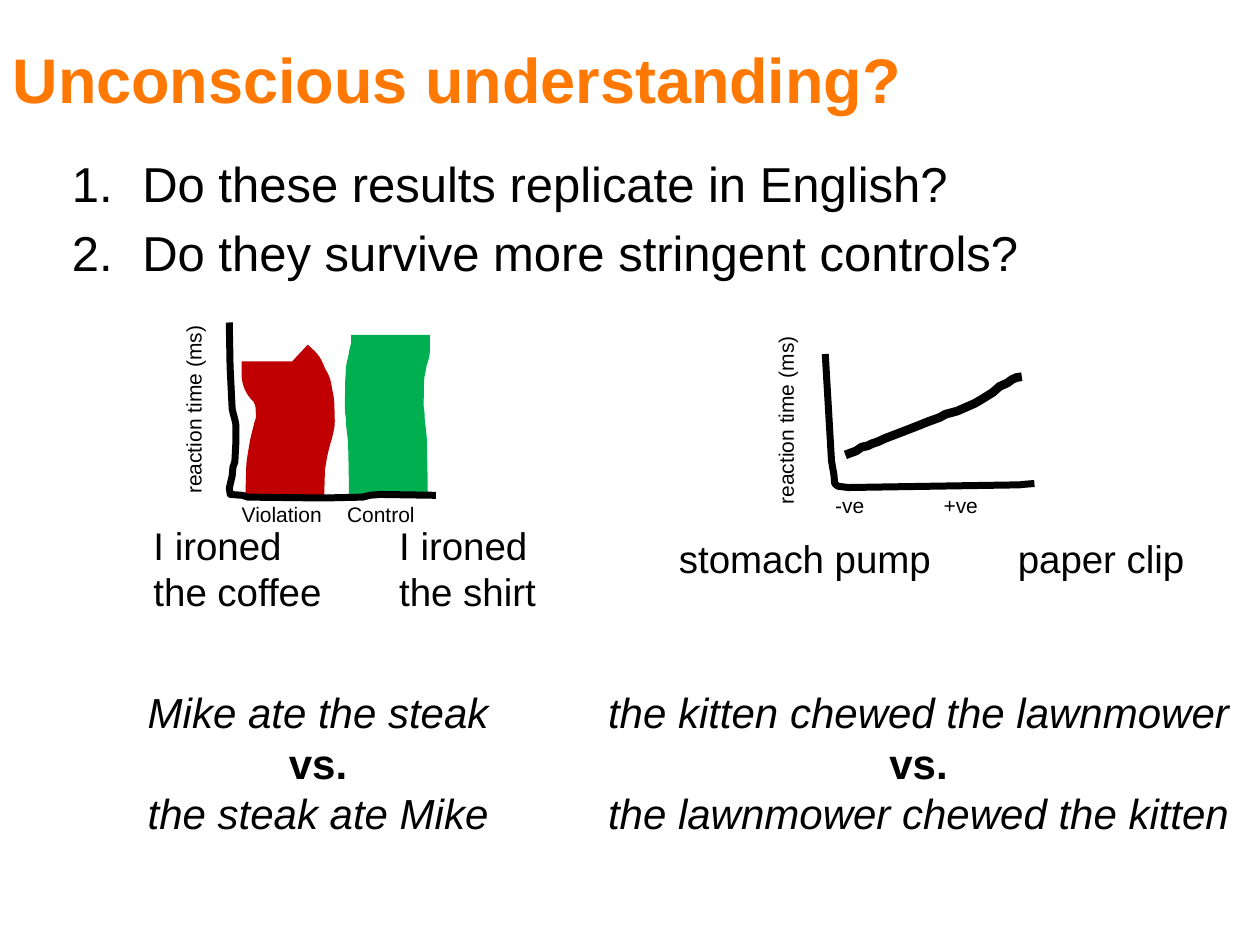
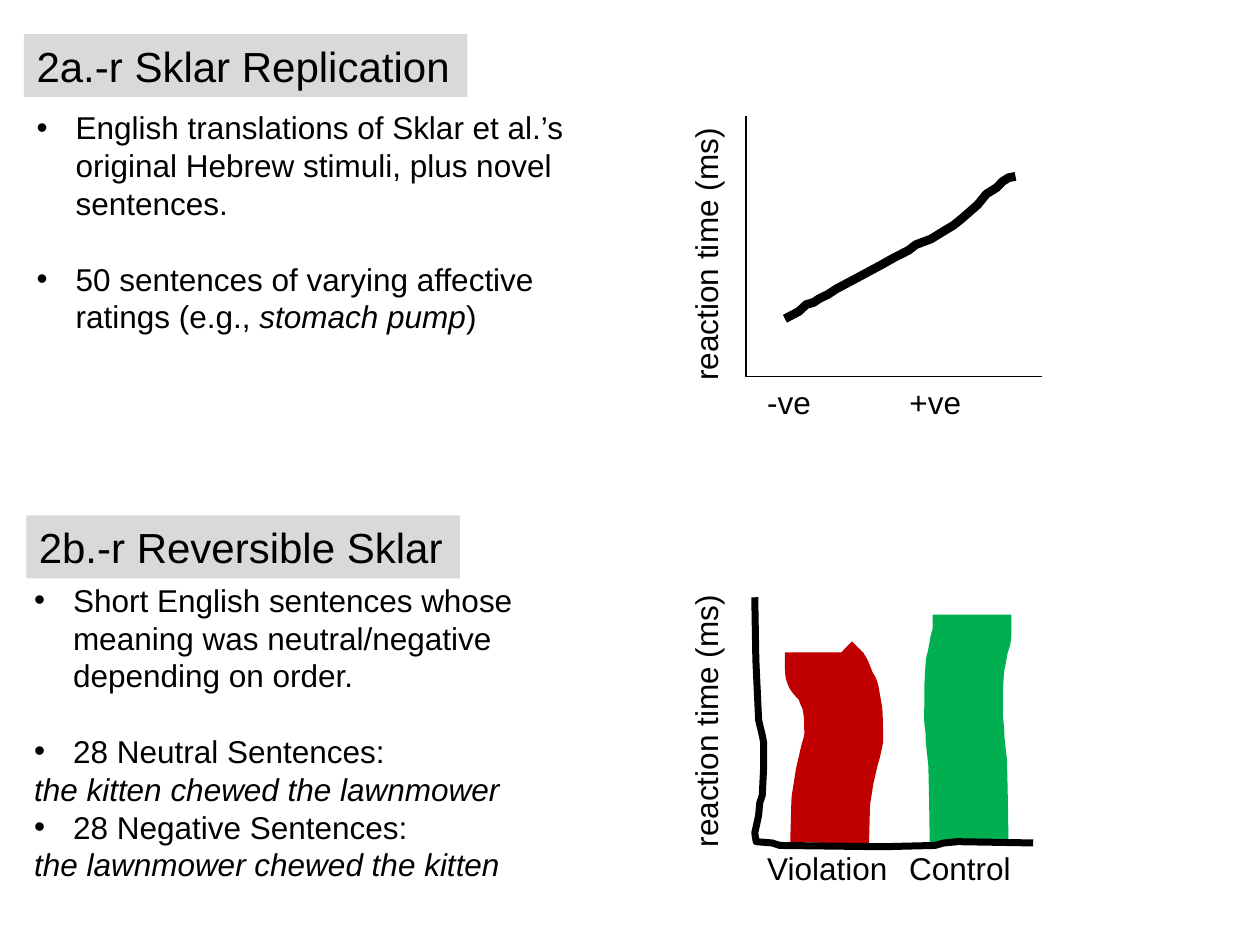
from lxml.etree import SubElement
from pptx import Presentation
from pptx.dml.color import RGBColor
from pptx.enum.shapes import MSO_CONNECTOR, MSO_SHAPE
from pptx.enum.text import MSO_ANCHOR, MSO_AUTO_SIZE, PP_ALIGN
from pptx.oxml.ns import qn
from pptx.util import Inches, Pt

COLORS = {"title": "FF7802", "ink": "000000", "band": "D9D9D9",
          "violation": "C00000", "control": "00B050"}
FONT = "Arial"
COLUMNS, ROWS = 100, 75

# Hand-drawn strokes, in percent of the frame that holds each one
AXES = [(0, 0), (0.4, 25), (1.4, 49), (1.8, 51), (2.7, 55), (3.2, 58), (3.2, 68),
        (2.7, 79), (1.8, 82), (1.4, 87), (0, 94), (0.5, 97.5), (6.3, 98), (9, 99),
        (45.7, 99.5), (64.7, 99), (67.9, 98), (72.9, 97.5), (100, 98)]
VIOLATION_BAR = [(27, 100), (33, 78), (53, 65), (80, 53), (87, 51), (100, 45),
                 (97, 32), (80, 22), (67, 20), (40, 13), (0, 9), (0, 0)]
CONTROL_BAR = [(67, 100), (60, 82), (50, 65), (17, 54), (17, 51), (0, 46),
               (3, 31), (17, 22), (33, 20), (67, 13), (100, 9), (100, 0)]
TREND = [(0, 100), (6, 95), (9.3, 90), (12.6, 88.5), (14.8, 86), (18.6, 83),
         (22.4, 79), (31.7, 71), (42, 62), (47.5, 57), (53.6, 52), (56.8, 48),
         (63.4, 44), (69.4, 38), (73, 34.5), (76.5, 30), (83.6, 20), (87.4, 12.4),
         (91.8, 8), (94.5, 3.5), (97, 1), (100, 0)]
TREND_AXES = [(0, 0), (3, 80), (4.2, 91), (4.5, 97), (6, 99), (11, 100),
              (92.8, 98), (96, 97.5), (100, 97)]

# Width of each graph label in columns per point of text size
LABEL_WIDTHS = {"Violation": 0.54, "Control": 0.45, "reaction time (ms)": 1.12,
                "-ve": 0.2, "+ve": 0.23}


class Sheet:
    """Holds the style and the current slide; lengths are grid columns and rows."""

    def __init__(self, deck):
        self.deck = deck
        self.column = deck.slide_width / COLUMNS
        self.row = deck.slide_height / ROWS
        self.page = None

    def start(self, layout):
        self.page = self.deck.slides.add_slide(self.deck.slide_layouts[layout])

    def place(self, left, top, width, height):
        return (round(left * self.column), round(top * self.row),
                round(width * self.column), round(height * self.row))

    def add_span(self, para, text, size, color="ink", bold=False, italic=False):
        span = para.add_run()
        span.text = text
        font = span.font
        font.name, font.size, font.bold, font.italic = FONT, Pt(size), bold, italic
        font.color.rgb = RGBColor.from_string(COLORS[color])

    def mark(self, para, bullet=None, indent=0.0):
        """Set the list mark: "1." numbers, another symbol repeats, None hides it."""
        settings = para._p.get_or_add_pPr()
        settings.set("marL", str(Inches(indent)))
        settings.set("indent", str(-Inches(indent)))
        if bullet == "1.":
            SubElement(settings, qn("a:buAutoNum"), type="arabicPeriod")
        elif bullet:
            SubElement(settings, qn("a:buFont"), typeface=FONT)
            SubElement(settings, qn("a:buChar"), char=bullet)
        else:
            SubElement(settings, qn("a:buNone"))

    def holder(self, index, frame):
        box = self.page.placeholders[index]
        box.left, box.top, box.width, box.height = self.place(*frame)
        box.text_frame.word_wrap = True
        box.text_frame.auto_size = MSO_AUTO_SIZE.NONE
        return box

    def title(self, text, frame, size, color="ink", bold=False):
        box = self.holder(0, frame)
        box.text_frame.vertical_anchor = MSO_ANCHOR.MIDDLE
        para = box.text_frame.paragraphs[0]
        para.alignment = PP_ALIGN.LEFT
        self.add_span(para, text, size, color, bold)
        return box

    def listing(self, index, frame, items, size, indent):
        """Each item is (bullet, space before, [(text, italic), ...])."""
        text_frame = self.holder(index, frame).text_frame
        text_frame.vertical_anchor = MSO_ANCHOR.TOP
        for number, (bullet, space, spans) in enumerate(items):
            para = text_frame.add_paragraph() if number else text_frame.paragraphs[0]
            self.mark(para, bullet, indent if bullet else 0)
            para.space_before = Pt(space)
            for text, italic in spans:
                self.add_span(para, text, size, italic=italic)

    def text(self, lines, frame, size, wrap=True, align=PP_ALIGN.LEFT):
        """Each line is (text, bold, italic)."""
        box = self.page.shapes.add_textbox(*self.place(*frame))
        box.text_frame.word_wrap = wrap
        box.text_frame.auto_size = MSO_AUTO_SIZE.SHAPE_TO_FIT_TEXT
        for number, (words, bold, italic) in enumerate(lines):
            para = box.text_frame.add_paragraph() if number else box.text_frame.paragraphs[0]
            para.alignment = align
            self.add_span(para, words, size, bold=bold, italic=italic)
        return box

    def label(self, words, left, top, size):
        frame = (left, top, 2 + LABEL_WIDTHS[words] * size, 1 + size / 6)
        return self.text([(words, False, False)], frame, size, wrap=False)

    def upright_label(self, words, center, middle, size):
        width, height = 2 + LABEL_WIDTHS[words] * size, 1 + size / 6
        box = self.label(words, center - width / 2, middle - height / 2, size)
        box.rotation = 270

    def band(self, box):
        box.fill.solid()
        box.fill.fore_color.rgb = RGBColor.from_string(COLORS["band"])

    def heading(self, words, frame, size):
        box = self.page.shapes.add_shape(MSO_SHAPE.RECTANGLE, *self.place(*frame))
        box.shadow.inherit = False
        self.band(box)
        box.line.fill.background()
        box.text_frame.word_wrap = False
        para = box.text_frame.paragraphs[0]
        para.alignment = PP_ALIGN.LEFT
        self.add_span(para, words, size)

    def stroke(self, points, frame, weight, color="ink"):
        left, top, width, height = self.place(*frame)
        dots = [(round(left + x * width / 100), round(top + y * height / 100))
                for x, y in points]
        builder = self.page.shapes.build_freeform(*dots[0])
        builder.add_line_segments(dots[1:], close=False)
        curve = builder.convert_to_shape()
        curve.shadow.inherit = False
        curve.fill.background()
        curve.line.width = Pt(weight)
        curve.line.color.rgb = RGBColor.from_string(COLORS[color])

    def rule(self, start, end):
        ends = self.place(*start, *end)
        line = self.page.shapes.add_connector(MSO_CONNECTOR.STRAIGHT, *ends)
        line.line.width = Pt(0.75)
        line.line.color.rgb = RGBColor.from_string(COLORS["ink"])
        SubElement(line._element.spPr, qn("a:effectLst"))

    def bar_graph(self, left, top, width, height, label_center, size):
        bars = [(VIOLATION_BAR, "violation", (0.25, 0.22, 0.07, 0.76)),
                (CONTROL_BAR, "control", (0.75, 0.07, 0.03, 0.91))]
        for points, color, (x, y, wide, high) in bars:
            frame = (left + x * width, top + y * height, wide * width, high * height)
            self.stroke(points, frame, 45, color)
        self.stroke(AXES, (left, top, width, height), 4)
        for words, share in (("Violation", 0), ("Control", 0.51)):
            self.label(words, left + share * width, top + 0.98 * height, size)
        self.upright_label("reaction time (ms)", label_center, top + 0.49 * height, size)

    def trend_graph(self, frame, label_lefts, label_top, label_center, label_middle, size):
        self.stroke(TREND, frame, 5)
        for words, left in zip(("-ve", "+ve"), label_lefts):
            self.label(words, left, label_top, size)
        self.upright_label("reaction time (ms)", label_center, label_middle, size)


def question_page(sheet):
    sheet.start(1)
    sheet.title("Unconscious understanding?", (0, 0, 85.8, 12.5), 36, "title", True)
    sheet.listing(1, (4.7, 11.7, 85, 27.5), [
        ("1.", 0, [("Do these results replicate in English?", False)]),
        ("1.", 5.6, [("Do they survive more stringent controls?", False)]),
    ], 28, 0.56)

    # Sketched graphs
    sheet.bar_graph(18.2, 25.6, 16.4, 14, 15.35, 12)
    sheet.stroke(TREND_AXES, (65.5, 28.1, 16.6, 10.6), 4)
    sheet.trend_graph((67.1, 29.9, 14, 6.2), (65.3, 73.9), 38.6, 62.35, 33.3, 12)

    # Example phrases under the graphs
    phrases = [("I ironed the coffee", (11.2, 40.9, 15.6, 8.4)),
               ("I ironed the shirt", (30.7, 40.9, 15.6, 8.4)),
               ("stomach pump", (52.9, 42, 24.3, 4.7)),
               ("paper clip", (79.8, 42, 15.6, 4.7))]
    for words, frame in phrases:
        sheet.text([(words, False, False)], frame, 22)

    # Sentence pairs with swapped roles
    pairs = [("Mike ate the steak", "the steak ate Mike", 10.6, 29.3),
             ("the kitten chewed the lawnmower", "the lawnmower chewed the kitten",
              47, 51.8)]
    for first, second, left, width in pairs:
        lines = [(first, False, True), ("vs.", True, False), (second, False, True)]
        sheet.text(lines, (left, 54, width, 13.1), 24, False, PP_ALIGN.CENTER)


def replication_page(sheet):
    sheet.start(3)
    line_gap = 21.6

    # Replication study
    title = sheet.title("2a.-r Sklar Replication", (1.9, 2.7, 35.2, 5), 24)
    title.text_frame.word_wrap = False
    sheet.band(title)
    sheet.listing(1, (1.9, 8.1, 46.6, 19.2), [
        ("•", 0, [("English translations of Sklar et al.’s original Hebrew stimuli, "
                   "plus novel sentences.", False)]),
        ("•", line_gap, [("50 sentences of varying affective ratings (e.g., ", False),
                         ("stomach pump", True), (")", False)]),
    ], 18, 0.31)
    corner = (59.2, 29.9)
    sheet.rule((59.2, 9.2), corner)
    sheet.rule(corner, (82.7, 29.9))
    sheet.trend_graph((62.3, 14, 18.3, 11.3), (59.9, 71.2), 29.9, 56, 20.1, 18)

    # Reversible study
    sheet.heading("2b.-r Reversible Sklar", (2.1, 40.9, 34.4, 5), 24)
    sheet.listing(2, (1.7, 45.6, 40.2, 25.2), [
        ("•", 0, [("Short English sentences whose meaning was neutral/negative "
                   "depending on order.", False)]),
        ("•", line_gap, [("28 Neutral Sentences:", False)]),
        (None, 0, [("the kitten chewed the lawnmower", True)]),
        ("•", 0, [("28 Negative Sentences:", False)]),
        (None, 0, [("the lawnmower chewed the kitten", True)]),
    ], 18, 0.31)
    sheet.bar_graph(59.9, 47.4, 22.1, 19.9, 56, 18)


def main():
    deck = Presentation()
    deck.slide_width, deck.slide_height = Inches(10), Inches(7.5)
    sheet = Sheet(deck)
    question_page(sheet)
    replication_page(sheet)
    deck.save("out.pptx")


if __name__ == "__main__":
    main()
